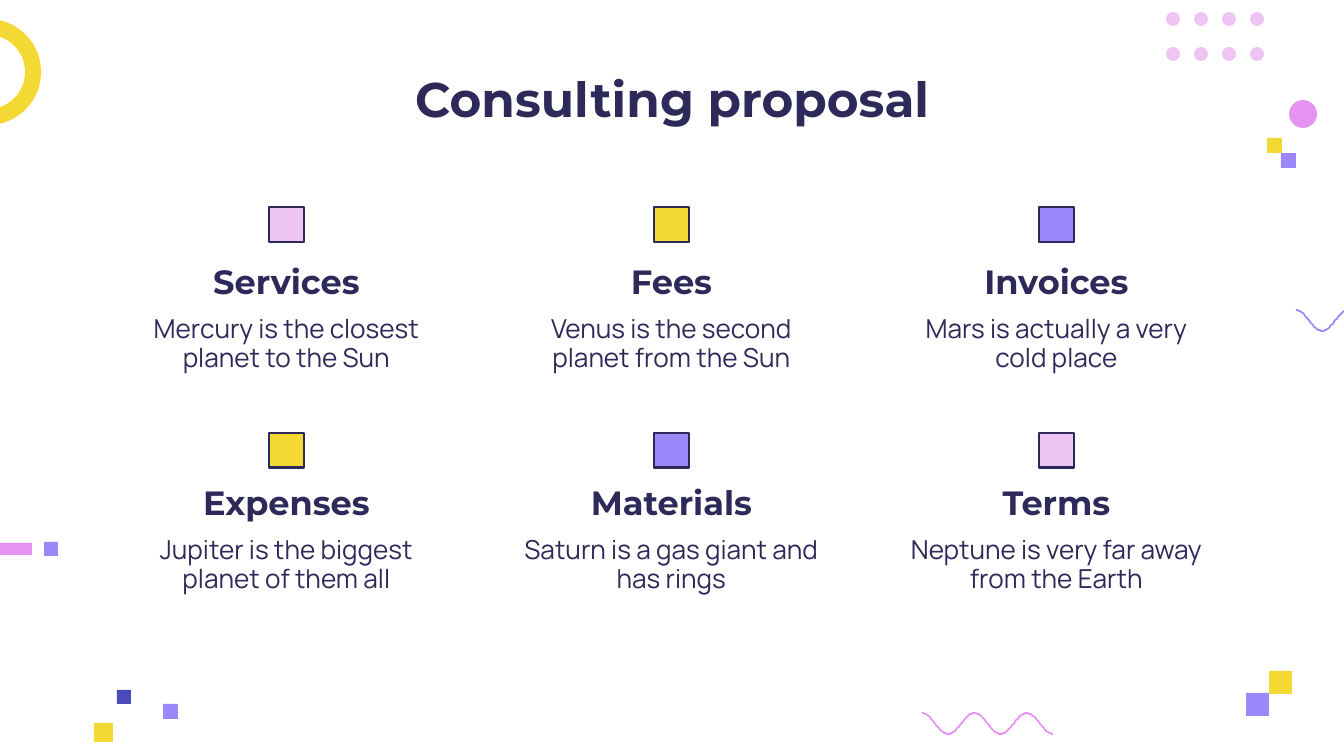
import math

from lxml import etree
from pptx import Presentation
from pptx import util as u
from pptx.dml import color
from pptx.enum import shapes, text
from pptx.oxml import ns

PX = 914400 / 134.4
INK, YELLOW, VIOLET = "2D2958", "F4D834", "9C88FA"
PINK, LILAC, BLUE = "E592F1", "EDC4F2", "4B4BBB"
RECT = shapes.MSO_SHAPE.RECTANGLE
OVAL = shapes.MSO_SHAPE.OVAL
DONUT = shapes.MSO_SHAPE.DONUT


def px(length):
    return u.Emu(round(length * PX))


def rgb(value):
    return color.RGBColor.from_string(value)


def write(box, words, font="Montserrat", size=18, bold=False, spacing=1.0):
    frame = box.text_frame
    frame.word_wrap = True
    frame.auto_size = text.MSO_AUTO_SIZE.NONE
    frame.vertical_anchor = text.MSO_ANCHOR.MIDDLE
    frame.margin_left = frame.margin_right = u.Inches(0.1)
    frame.margin_top = frame.margin_bottom = u.Inches(0.1)
    para = frame.paragraphs[0]
    para.alignment = text.PP_ALIGN.CENTER
    para.line_spacing = spacing
    para.space_before = u.Pt(0)
    span = para.add_run()
    span.text = words
    span.font.name = font
    span.font.size = u.Pt(size)
    span.font.bold = bold
    span.font.color.rgb = rgb(INK)


class Painter:
    def __init__(self, page):
        self.page = page

    def title(self, words, left, top, width, height):
        box = self.page.shapes.title
        box.left, box.top, box.width, box.height = map(px, (left, top, width, height))
        write(box, words, size=26, bold=True)

    def label(self, words, left, top, width, height, **style):
        box = self.page.shapes.add_textbox(*map(px, (left, top, width, height)))
        write(box, words, **style)

    def shape(self, kind, fill, left, top, width, height, outline=None):
        figure = self.page.shapes.add_shape(kind, *map(px, (left, top, width, height)))
        figure.shadow.inherit = False
        figure.fill.solid()
        figure.fill.fore_color.rgb = rgb(fill)
        if outline:
            figure.line.color.rgb = rgb(outline)
            figure.line.width = u.Pt(1.5)
        else:
            figure.line.fill.background()
        return figure

    def wave(self, stroke, left, top, length=131, height=21, turns=2.5, steps=100):
        points = [
            (left + length * i / steps,
             top + height / 2 * (1 - math.cos(2 * math.pi * turns * i / steps)))
            for i in range(steps + 1)
        ]
        builder = self.page.shapes.build_freeform(*points[0], scale=PX)
        builder.add_line_segments(points[1:], close=False)
        curve = builder.convert_to_shape()
        curve.shadow.inherit = False
        curve.fill.background()
        curve.line.color.rgb = rgb(stroke)
        curve.line.width = u.Pt(0.9)

    def card(self, heading, body, fill, left, icon_top, text_top):
        width, icon = 343, 35
        self.shape(RECT, fill, left + (width - icon) // 2, icon_top, icon, icon, INK)
        self.label(heading, left, text_top, width, 52, bold=True)
        self.label(body, left, text_top + 54, width, 71,
                   font="Manrope", size=14, spacing=0.9)


SQUARES = [
    (VIOLET, 44, 542, 14),
    (YELLOW, 94, 723, 19),
    (VIOLET, 163, 704, 15),
    (BLUE, 117, 690, 14),
    (YELLOW, 1269, 671, 23),
    (VIOLET, 1246, 693, 23),
    (VIOLET, 1281, 153, 15),
    (YELLOW, 1267, 138, 15),
]

ROWS = [
    (207, 255, [
        ("Services", "Mercury is the closest planet to the Sun", LILAC),
        ("Fees", "Venus is the second planet from the Sun", YELLOW),
        ("Invoices", "Mars is actually a very cold place", VIOLET),
    ]),
    (433, 476, [
        ("Expenses", "Jupiter is the biggest planet of them all", YELLOW),
        ("Materials", "Saturn is a gas giant and has rings", VIOLET),
        ("Terms", "Neptune is very far away from the Earth", LILAC),
    ]),
]


def main():
    deck = Presentation()
    deck.slide_width, deck.slide_height = px(1344), px(756)
    painter = Painter(deck.slides.add_slide(deck.slide_layouts[5]))

    ring = painter.shape(DONUT, YELLOW, -65, 19, 106, 106)
    ring.adjustments[0] = 0.15
    painter.shape(RECT, PINK, -85, 543, 117, 12)
    for column in range(4):
        for row in range(2):
            painter.shape(OVAL, LILAC, 1166 + 28 * column, 12 + 35 * row, 14, 14)
    painter.shape(OVAL, PINK, 1289, 100, 28, 28)
    for fill, left, top, side in SQUARES:
        painter.shape(RECT, fill, left, top, side, side)
    painter.wave(PINK, 922, 713)
    painter.wave(VIOLET, 1296, 310)

    painter.title("Consulting proposal", 112, 56, 1121, 85)
    for icon_top, text_top, cards in ROWS:
        for column, (heading, body, fill) in enumerate(cards):
            painter.card(heading, body, fill, 115 + 385 * column, icon_top, text_top)

    deck.save("out.pptx")


if __name__ == "__main__":
    main()
